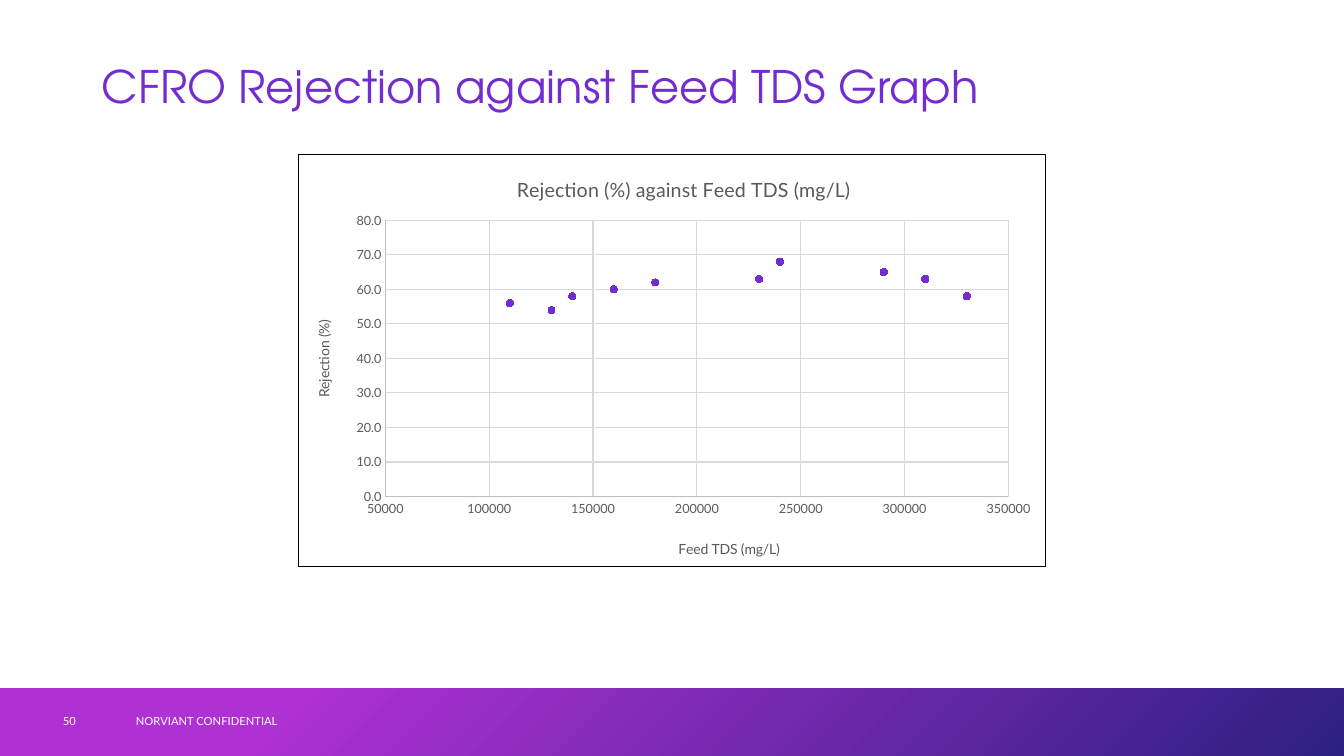
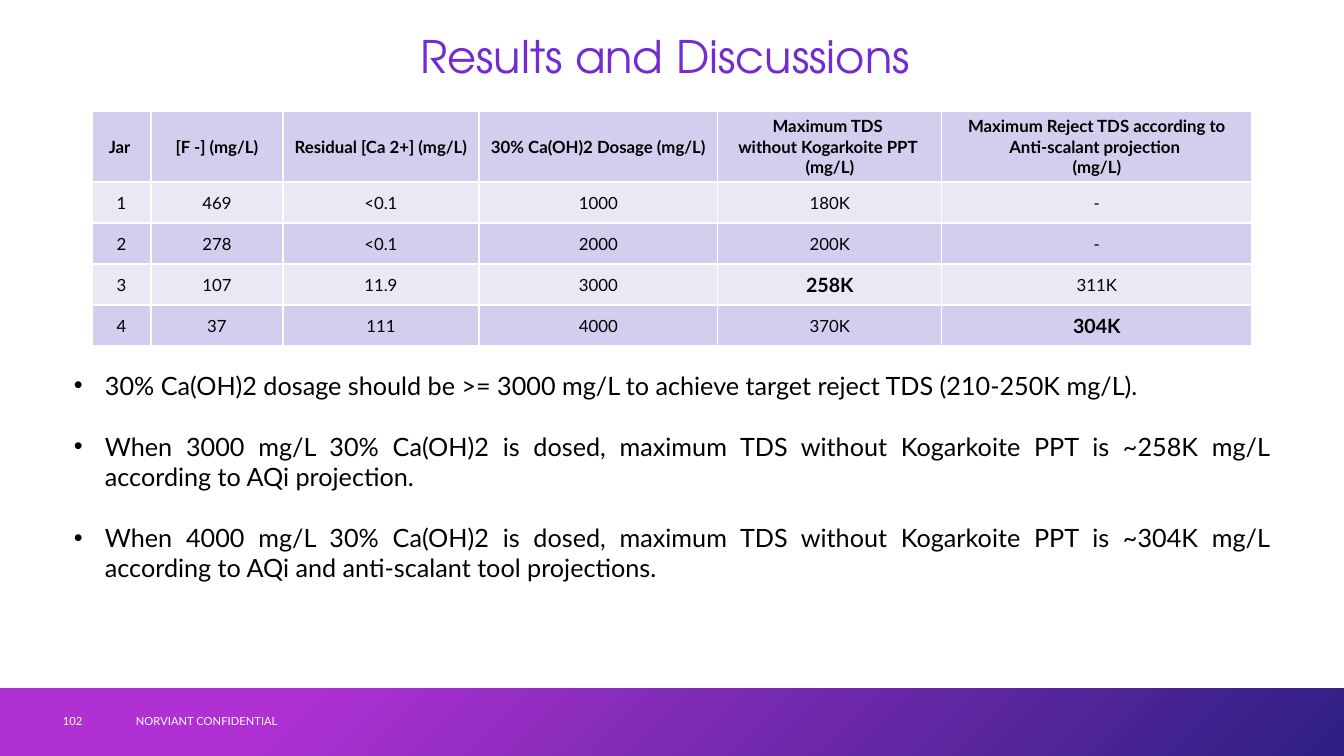
"""Build two slides on CFRO rejection and dosing results."""
from lxml import etree
from pptx import Presentation
from pptx.chart.data import XyChartData
from pptx.dml.color import RGBColor
from pptx.enum.chart import XL_CHART_TYPE, XL_MARKER_STYLE, XL_TICK_MARK
from pptx.enum.shapes import MSO_SHAPE
from pptx.enum.text import MSO_ANCHOR, PP_ALIGN
from pptx.oxml import parse_xml
from pptx.oxml.ns import nsdecls, qn
from pptx.util import Emu, Pt

SCATTER = XL_CHART_TYPE.XY_SCATTER
CIRCLE = XL_MARKER_STYLE.CIRCLE
NO_TICK = XL_TICK_MARK.NONE
RECTANGLE = MSO_SHAPE.RECTANGLE
TOP, MIDDLE = MSO_ANCHOR.TOP, MSO_ANCHOR.MIDDLE
LEFT, CENTER, JUSTIFY = PP_ALIGN.LEFT, PP_ALIGN.CENTER, PP_ALIGN.JUSTIFY

PURPLE = RGBColor(0x72, 0x2C, 0xCF)
MAGENTA = RGBColor(0xAF, 0x31, 0xD3)
NAVY = RGBColor(0x2D, 0x20, 0x82)
WHITE = RGBColor(0xFF, 0xFF, 0xFF)
BLACK = RGBColor(0, 0, 0)
GRAY = RGBColor(0x59, 0x59, 0x59)
AXIS_GRAY = RGBColor(0xBF, 0xBF, 0xBF)
GRID_GRAY = RGBColor(0xD9, 0xD9, 0xD9)
LILAC = RGBColor(0xD5, 0xCD, 0xED)
PALE_LILAC = RGBColor(0xEB, 0xE8, 0xF6)

BODY_FONT, TITLE_FONT = "Lato", "TeX Gyre Adventor"
SLIDE_WIDTH, SLIDE_HEIGHT = 1344, 756
BAND_TOP = 688
FOOTER = "NORVIANT CONFIDENTIAL"

GRAPH_TITLE = "CFRO Rejection against Feed TDS Graph"
CHART_TITLE = "Rejection (%) against Feed TDS (mg/L)"
CHART_AREA = (298, 154, 748, 413)
CHART_TITLE_PLACE = (215, 17)
PLOT_AREA = (87, 66, 624, 277)
POINTS = [
    (110000, 56), (130000, 54), (140000, 58), (160000, 60),
    (180000, 62), (230000, 63), (290000, 65), (240000, 68),
    (310000, 63), (330000, 58),
]
FEED_AXIS = dict(title="Feed TDS (mg/L)", place=(378, 383),
                 limits=(50000, 350000), step=50000, number_format="0")
REJECTION_AXIS = dict(title="Rejection (%)", place=(13, 163),
                      limits=(0, 80), step=10, number_format="0.0")

RESULTS_TITLE = "Results and Discussions "
HEADER = [
    "Jar ", "[F -] (mg/L)", "Residual [Ca 2+] (mg/L)",
    "30% Ca(OH)2 Dosage (mg/L)",
    "Maximum TDS \nwithout Kogarkoite PPT \n(mg/L)",
    "Maximum Reject TDS according to Anti-scalant projection \n(mg/L)",
]
JARS = [
    ["1", "469", "<0.1", "1000", "180K", "-"],
    ["2", "278", "<0.1", "2000", "200K", "-"],
    ["3", "107", "11.9", "3000", "258K", "311K"],
    ["4", "37", "111", "4000", "370K", "304K"],
]
HIGHLIGHTS = {"258K", "304K"}
COLUMN_WIDTHS = [59, 132, 196, 239, 224, 310]
ROW_HEIGHTS = [71] + [41] * len(JARS)
FINDINGS = [
    "30% Ca(OH)2 dosage should be >= 3000 mg/L to achieve target reject "
    "TDS (210-250K mg/L).",
    "When 3000 mg/L 30% Ca(OH)2 is dosed, maximum TDS without Kogarkoite "
    "PPT is ~258K mg/L according to AQi projection.",
    "When 4000 mg/L 30% Ca(OH)2 is dosed, maximum TDS without Kogarkoite "
    "PPT is ~304K mg/L according to AQi and anti-scalant tool projections.",
]


def px(length):
    return Emu(round(length * 914400 / 100.8))


def style_font(font, size, color, name=BODY_FONT, bold=False):
    font.size, font.name, font.bold = Pt(size), name, bold
    font.color.rgb = color


def write_paragraphs(frame, texts, align, **style):
    """Fill a text frame with one run per paragraph."""
    for index, text in enumerate(texts):
        para = frame.add_paragraph() if index else frame.paragraphs[0]
        para.alignment = align
        span = para.add_run()
        span.text = text
        style_font(span.font, **style)


def add_text(page, area, texts, align=LEFT, anchor=MIDDLE, **style):
    box = page.shapes.add_textbox(*map(px, area))
    frame = box.text_frame
    frame.word_wrap = True
    frame.vertical_anchor = anchor
    write_paragraphs(frame, texts, align, **style)
    return frame


def add_page(deck, title, title_top, title_align, number):
    """Add a blank page with the shared title, band and footer."""
    page = deck.slides.add_slide(deck.slide_layouts[6])
    band = page.shapes.add_shape(RECTANGLE, *map(
        px, (0, BAND_TOP, SLIDE_WIDTH, SLIDE_HEIGHT - BAND_TOP)))
    band.shadow.inherit = False
    band.line.fill.background()
    band.fill.gradient()
    band.fill.gradient_angle = 315
    stops = zip(band.fill.gradient_stops, ((0.21, MAGENTA), (1, NAVY)))
    for stop, (position, color) in stops:
        stop.position = position
        stop.color.rgb = color
    frame = add_text(page, (92, title_top, 1159, 68), [title], title_align,
                     size=32, color=PURPLE, name=TITLE_FONT)
    frame.paragraphs[0].line_spacing = 0.9
    for left, width, text in ((126, 454, FOOTER), (53, 73, number)):
        add_text(page, (left, 701, width, 40), [text], size=8, color=WHITE)
    return page


def place_in_chart(element, place, inner=False):
    """Give a chart part a fixed position, and a size when it has one."""
    for old in element.findall(qn("c:layout")):
        element.remove(old)
    layout = parse_xml(f"<c:layout {nsdecls('c')}><c:manualLayout/></c:layout>")
    manual = layout[0]
    settings = [("layoutTarget", "inner")] if inner else []
    settings += [("xMode", "edge"), ("yMode", "edge")]
    totals = CHART_AREA[2:] * 2
    settings += [(key, f"{part / total:.4f}")
                 for key, part, total in zip("xywh", place, totals)]
    for key, value in settings:
        etree.SubElement(manual, qn(f"c:{key}")).set("val", value)
    element.insert(0 if element.find(qn("c:tx")) is None else 1, layout)


def write_chart_title(title, text, place, size):
    write_paragraphs(title.text_frame, [text], CENTER, size=size, color=GRAY)
    place_in_chart(title._element, place)


def style_axis(axis, title, place, limits, step, number_format):
    axis.minimum_scale, axis.maximum_scale = limits
    axis.major_unit = step
    axis.major_tick_mark = axis.minor_tick_mark = NO_TICK
    axis.tick_labels.number_format = number_format
    axis.tick_labels.number_format_is_linked = False
    style_font(axis.tick_labels.font, 9, GRAY)
    axis.has_major_gridlines = True
    for line, color in ((axis.format.line, AXIS_GRAY),
                        (axis.major_gridlines.format.line, GRID_GRAY)):
        line.color.rgb = color
        line.width = Pt(0.75)
    write_chart_title(axis.axis_title, title, place, 10)


def add_rejection_chart(page):
    data = XyChartData()
    rejection = data.add_series(CHART_TITLE)
    for feed, percent in POINTS:
        rejection.add_data_point(feed, percent)
    chart = page.shapes.add_chart(SCATTER, *map(px, CHART_AREA), data).chart
    style_font(chart.font, 10, BLACK)
    chart.has_legend = False
    write_chart_title(chart.chart_title, CHART_TITLE, CHART_TITLE_PLACE, 14)
    plot = chart.plots[0]
    plot.vary_by_categories = False
    series = plot.series[0]
    series.format.line.fill.background()
    marker = series.marker
    marker.style, marker.size = CIRCLE, 5
    marker.format.fill.solid()
    marker.format.fill.fore_color.rgb = PURPLE
    marker.format.line.color.rgb = PURPLE
    style_axis(chart.category_axis, **FEED_AXIS)
    style_axis(chart.value_axis, **REJECTION_AXIS)
    chart_node = chart._chartSpace.find(qn("c:chart"))
    place_in_chart(chart_node.find(qn("c:plotArea")), PLOT_AREA, inner=True)
    chart_node.addnext(parse_xml(
        f'<c:spPr {nsdecls("c", "a")}><a:ln w="{Pt(0.75)}"><a:solidFill>'
        f'<a:srgbClr val="{BLACK}"/></a:solidFill></a:ln></c:spPr>'))


def style_cell(cell, fill):
    properties = cell._tc.get_or_add_tcPr()
    for side in "LRTB":
        properties.append(parse_xml(
            f'<a:ln{side} {nsdecls("a")} w="{Pt(1)}"><a:solidFill>'
            f'<a:srgbClr val="{WHITE}"/></a:solidFill></a:ln{side}>'))
    cell.fill.solid()
    cell.fill.fore_color.rgb = fill
    cell.vertical_anchor = MIDDLE


def add_jar_table(page):
    rows = [HEADER] + JARS
    area = (92, 111, sum(COLUMN_WIDTHS), sum(ROW_HEIGHTS))
    table = page.shapes.add_table(
        len(rows), len(HEADER), *map(px, area)).table
    table.first_row = table.horz_banding = False
    for column, width in zip(table.columns, COLUMN_WIDTHS):
        column.width = px(width)
    for index, (row, height) in enumerate(zip(table.rows, ROW_HEIGHTS)):
        row.height = px(height)
        for cell, text in zip(row.cells, rows[index]):
            style_cell(cell, PALE_LILAC if index % 2 else LILAC)
            strong = text in HIGHLIGHTS
            write_paragraphs(cell.text_frame, text.split("\n"), CENTER,
                             size=14 if strong else 12, color=BLACK,
                             bold=strong or index == 0)


def add_findings(page):
    frame = add_text(page, (64, 365, 1216, 251), FINDINGS, JUSTIFY, TOP,
                     size=18, color=BLACK)
    for index, para in enumerate(frame.paragraphs):
        if index:
            para.space_before = Pt(22)
        properties = para._p.get_or_add_pPr()
        properties.set("marL", str(px(31)))
        properties.set("indent", str(-px(31)))
        etree.SubElement(properties, qn("a:buFont")).set("typeface", "Arial")
        etree.SubElement(properties, qn("a:buChar")).set("char", "•")


def main():
    deck = Presentation()
    deck.slide_width, deck.slide_height = px(SLIDE_WIDTH), px(SLIDE_HEIGHT)
    add_rejection_chart(add_page(deck, GRAPH_TITLE, 55, LEFT, "50"))
    results = add_page(deck, RESULTS_TITLE, 25, CENTER, "102")
    add_jar_table(results)
    add_findings(results)
    deck.save("out.pptx")


if __name__ == "__main__":
    main()
